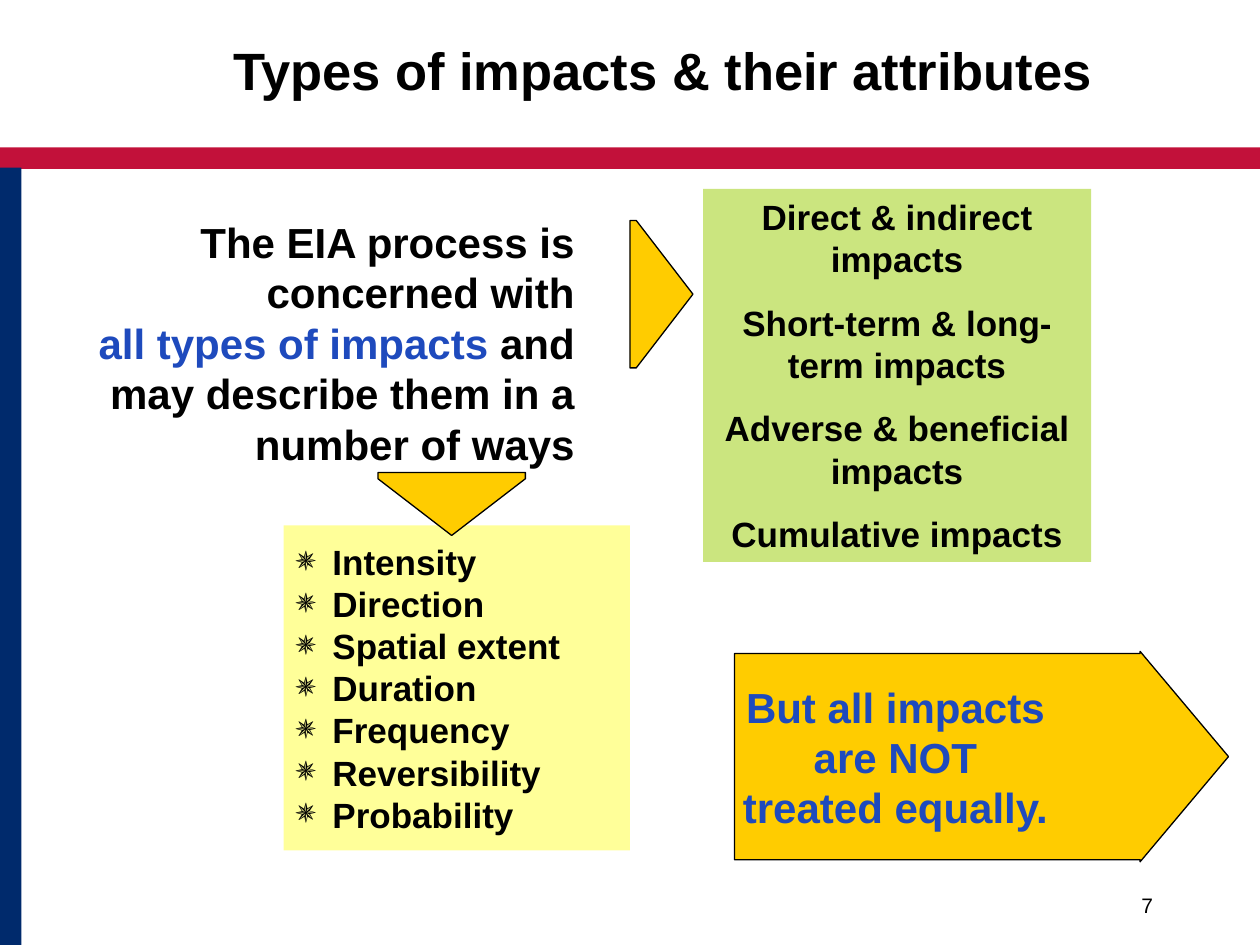
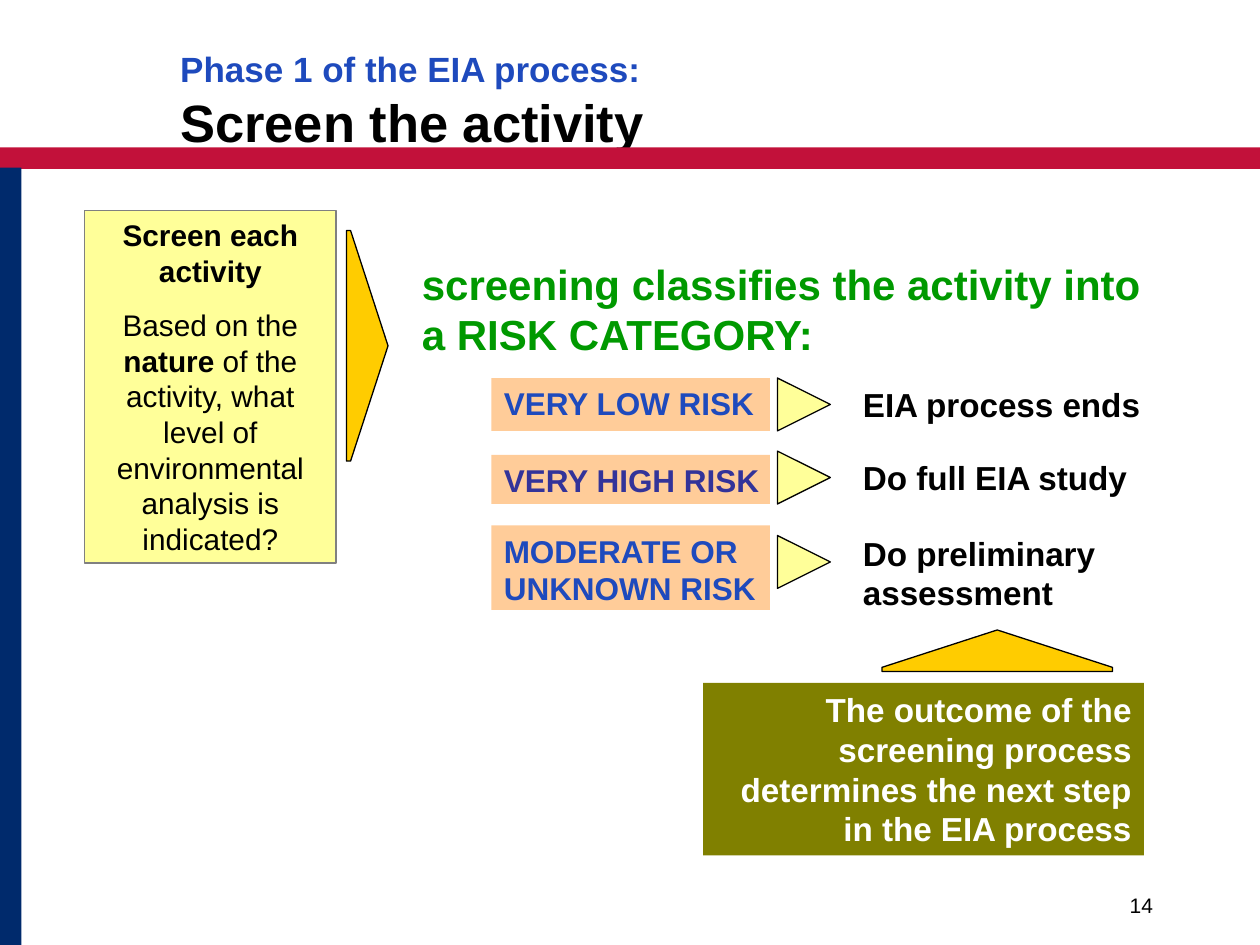
from dataclasses import dataclass, replace

from lxml import etree
from pptx import Presentation
from pptx.dml.color import RGBColor
from pptx.enum.shapes import MSO_SHAPE
from pptx.enum.text import MSO_ANCHOR, MSO_AUTO_SIZE, PP_ALIGN
from pptx.oxml.ns import qn
from pptx.util import Inches, Pt

RECTANGLE, RIGHT_ARROW = MSO_SHAPE.RECTANGLE, MSO_SHAPE.RIGHT_ARROW
LEFT, CENTER, RIGHT = PP_ALIGN.LEFT, PP_ALIGN.CENTER, PP_ALIGN.RIGHT
TOP, MIDDLE, BOTTOM = MSO_ANCHOR.TOP, MSO_ANCHOR.MIDDLE, MSO_ANCHOR.BOTTOM
NO_AUTO_SIZE = MSO_AUTO_SIZE.NONE

FONT = "Arial"
COLORS = {
    "black": "000000",
    "white": "FFFFFF",
    "red": "C2113A",
    "navy": "002A6C",
    "blue": "1E4ABD",
    "indigo": "333399",
    "gold": "FFCC00",
    "yellow": "FFFF99",
    "peach": "FFCC99",
    "lime": "99CC00",
    "green": "009900",
    "olive": "808000",
    "gray": "808080",
}


@dataclass(frozen=True)
class Style:
    """Size, colour and weight of a run."""

    size: float
    color: str = "black"
    bold: bool = True


TITLE = Style(30)
LEAD = Style(24)
LABEL = Style(20)
NOTE = Style(17)
RISK = Style(18, "blue")
RESULT = Style(19)
PAGE_NUMBER = Style(12, bold=False)


def rgb(name):
    """Return the named colour."""
    return RGBColor.from_string(COLORS[name])


def inches(box):
    """Convert a left, top, width, height box to lengths."""
    return [Inches(value) for value in box]


def paint(shape, fill, line=None, line_width=0.75):
    """Fill a shape, outline it if asked, and drop its shadow."""
    shape.shadow.inherit = False
    shape.fill.solid()
    shape.fill.fore_color.rgb = rgb(fill)
    if line:
        shape.line.color.rgb = rgb(line)
        shape.line.width = Pt(line_width)
    else:
        shape.line.fill.background()


def add_block(slide, box, fill, line=None, line_width=0.75, kind=RECTANGLE):
    """Add a painted preset shape."""
    shape = slide.shapes.add_shape(kind, *inches(box))
    paint(shape, fill, line, line_width)
    return shape


def set_opacity(shape, percent):
    """Make a solid fill partly transparent."""
    color = next(shape.fill._xPr.iter(qn("a:srgbClr")))
    etree.SubElement(color, qn("a:alpha"), val=str(percent * 1000))


def set_bullet(paragraph, character, indent):
    """Give a paragraph a hanging bullet."""
    properties = paragraph._p.get_or_add_pPr()
    properties.set("marL", str(Inches(indent)))
    properties.set("indent", str(-Inches(indent)))
    etree.SubElement(properties, qn("a:buChar"), char=character)


def write(shape, paragraphs, align=LEFT, anchor=TOP, gap=0, bullet=None):
    """Write paragraphs, each a list of (text, style) runs."""
    frame = shape.text_frame
    frame.word_wrap = True
    frame.auto_size = NO_AUTO_SIZE
    frame.vertical_anchor = anchor
    frame.margin_left = frame.margin_right = Inches(0.1)
    frame.margin_top = frame.margin_bottom = Inches(0.05)
    for index, runs in enumerate(paragraphs):
        paragraph = frame.add_paragraph() if index else frame.paragraphs[0]
        paragraph.alignment = align
        paragraph.space_before = Pt(gap if index else 0)
        if bullet:
            set_bullet(paragraph, bullet, 0.29)
        for text, style in runs:
            run = paragraph.add_run()
            run.text = text
            run.font.name = FONT
            run.font.size = Pt(style.size)
            run.font.bold = style.bold
            run.font.color.rgb = rgb(style.color)
    return frame


def add_text(slide, box, paragraphs, **layout):
    """Add a text box with paragraphs."""
    write(slide.shapes.add_textbox(*inches(box)), paragraphs, **layout)


def add_pointer(slide, box, direction="right", fill="gold", shoulder=0.1):
    """Draw a flat-backed triangle that fills the box and points one way."""
    left, top, width, height = box
    outline = [(0, 0), (shoulder, 0), (1, 0.5), (shoulder, 1), (0, 1)]
    turn = {
        "right": lambda along, across: (along, across),
        "down": lambda along, across: (across, along),
        "up": lambda along, across: (across, 1 - along),
    }[direction]
    points = []
    for along, across in outline:
        x, y = turn(along, across)
        points.append((Inches(left + x * width), Inches(top + y * height)))
    builder = slide.shapes.build_freeform(*points[0], scale=1.0)
    builder.add_line_segments(points[1:], close=True)
    paint(builder.convert_to_shape(), fill, "black")


def add_framed_slide(presentation, title_corner, title, number):
    """Add a slide with bands, title and page number."""
    slide = presentation.slides.add_slide(presentation.slide_layouts[5])
    add_block(slide, (0, 1.17, 10, 0.17), "red")
    add_block(slide, (0, 1.33, 0.17, 6.17), "navy")
    heading = slide.shapes.title
    heading.left, heading.top, heading.width, heading.height = inches(
        (*title_corner, 8.5, 0.67))
    write(heading, title)
    add_text(slide, (7.17, 6.83, 2.08, 0.5), [[(number, PAGE_NUMBER)]],
             align=RIGHT, anchor=BOTTOM)
    return slide


def add_impact_types(slide, box):
    """Add the green panel of impact types and the pointer to it."""
    left, top, _, _ = box
    types = ["Direct & indirect impacts", "Short-term & long-term impacts",
             "Adverse & beneficial impacts", "Cumulative impacts"]
    panel = add_block(slide, box, "lime")
    set_opacity(panel, 50)
    write(panel, [[(name, LABEL)] for name in types], align=CENTER, gap=12.5)
    add_pointer(slide, (left - 0.58, top + 0.25, 0.5, 1.17))


def add_attributes(slide, box):
    """Add the yellow list of attributes and the pointer to it."""
    left, top, _, _ = box
    attributes = ["Intensity", "Direction", "Spatial extent", "Duration",
                  "Frequency", "Reversibility", "Probability"]
    panel = add_block(slide, box, "yellow")
    write(panel, [[(name, LABEL)] for name in attributes],
          anchor=MIDDLE, bullet="✵")
    add_pointer(slide, (left + 0.75, top - 0.42, 1.17, 0.5), "down")


def add_conclusion(slide, box):
    """Add the large arrow with the closing statement."""
    arrow = add_block(slide, box, "gold", "black", kind=RIGHT_ARROW)
    arrow.adjustments[0] = 0.98
    arrow.adjustments[1] = 0.42
    frame = write(arrow, [[("But all impacts are NOT treated equally.",
                            replace(LEAD, color="blue"))]],
                  align=CENTER, anchor=MIDDLE)
    frame.margin_left = Inches(0.05)
    frame.margin_right = Inches(0.73)


def add_screening_question(slide, box):
    """Add the screening panel and its pointer."""
    left, top, width, _ = box
    plain = replace(NOTE, bold=False)
    panel = add_block(slide, box, "yellow", "gray", 1)
    write(panel, [
        [("Screen each activity", NOTE)],
        [("Based on the ", plain), ("nature", NOTE),
         (" of the activity, what level of environmental analysis"
          " is indicated?", plain)],
    ], align=CENTER, gap=10.6)
    add_pointer(slide, (left + width + 0.08, top + 0.16, 0.33, 1.83))


def add_risk_row(slide, box, risk, color, result, pointer_top, result_top):
    """Add a risk label, its pointer and the resulting step."""
    left, _, width, _ = box
    label = add_block(slide, box, "peach")
    frame = write(label, [[(risk, replace(RISK, color=color))]])
    frame.margin_right = Inches(0.05)
    pointer_left = left + width + 0.06
    add_pointer(slide, (pointer_left, pointer_top, 0.42, 0.42),
                fill="yellow", shoulder=0)
    add_text(slide, (pointer_left + 0.58, result_top, 2.75, 0.74),
             [[(result, RESULT)]])


def add_risk_categories(slide, box):
    """Add the heading and the three risk rows."""
    left, top, width, _ = box
    add_text(slide, (left, top, width, 0.9),
             [[("screening classifies the activity into a RISK CATEGORY:",
                replace(LEAD, color="green"))]])
    rows = [
        ("VERY LOW RISK", "blue", "EIA process ends", 1, 0.42, 1, 1),
        ("VERY HIGH RISK", "indigo", "Do full EIA study",
         1.61, 0.39, 1.58, 1.58),
        ("MODERATE OR UNKNOWN RISK", "blue", "Do preliminary assessment",
         2.17, 0.67, 2.25, 2.18),
    ]
    for risk, color, result, offset, height, pointer, step in rows:
        add_risk_row(slide, (left + 0.65, top + offset, 2.21, height),
                     risk, color, result, top + pointer, top + step)


def add_outcome(slide, box):
    """Add the outcome panel and the pointer above it."""
    left, top, _, _ = box
    panel = add_block(slide, box, "olive")
    write(panel, [[("The outcome of the screening process determines the next"
                    " step in the EIA process",
                    replace(RESULT, color="white"))]], align=RIGHT)
    add_pointer(slide, (left + 1.42, top - 0.42, 1.83, 0.33), "up")


def build_impacts_slide(presentation):
    """Build the slide on impact types and attributes."""
    title = [[("Types of impacts & their attributes", TITLE)]]
    slide = add_framed_slide(presentation, (1.75, 0.25), title, "7")
    add_impact_types(slide, (5.58, 1.5, 3.08, 2.96))
    add_text(slide, (0.33, 1.67, 4.33, 2.1), [
        [("The EIA process is concerned with", LEAD)],
        [("all types of impacts", replace(LEAD, color="blue")),
         (" and may describe them in a number of ways", LEAD)],
    ], align=RIGHT)
    add_attributes(slide, (2.25, 4.17, 2.75, 2.58))
    add_conclusion(slide, (5.83, 5.17, 3.92, 1.67))


def build_screening_slide(presentation):
    """Build the slide on screening an activity."""
    title = [
        [("Phase 1 of the EIA process:", replace(LABEL, color="blue"))],
        [("Screen the activity", TITLE)],
    ]
    slide = add_framed_slide(presentation, (1.33, 0.33), title, "14")
    add_screening_question(slide, (0.67, 1.67, 2, 2.8))
    add_risk_categories(slide, (3.25, 2, 6, 2.92))
    add_outcome(slide, (5.58, 5.42, 3.5, 1.37))


def main():
    """Build and save the presentation."""
    presentation = Presentation()
    presentation.slide_width = Inches(10)
    presentation.slide_height = Inches(7.5)
    build_impacts_slide(presentation)
    build_screening_slide(presentation)
    presentation.save("out.pptx")


if __name__ == "__main__":
    main()
